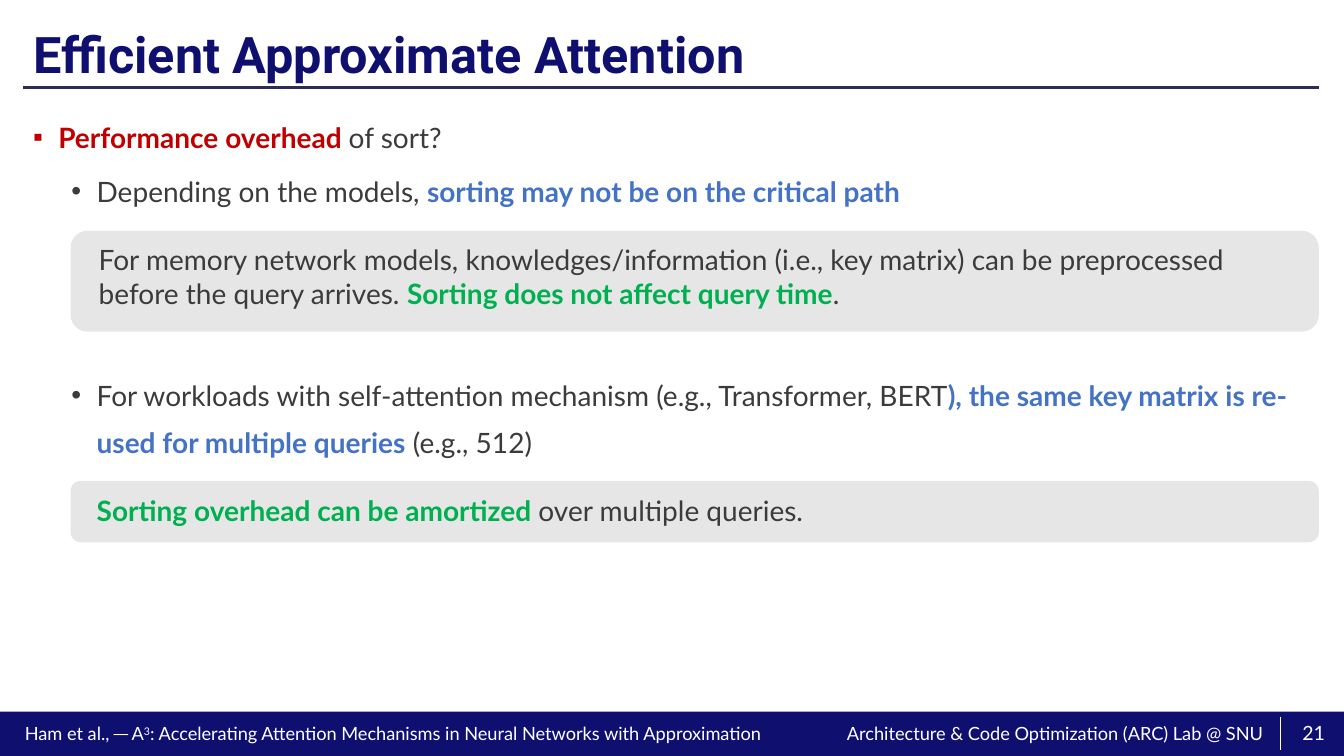
from lxml.etree import SubElement
from pptx import Presentation
from pptx.dml.color import RGBColor
from pptx.enum.shapes import MSO_CONNECTOR, MSO_SHAPE
from pptx.enum.text import MSO_ANCHOR, PP_ALIGN
from pptx.oxml.ns import qn
from pptx.util import Inches, Pt

NAVY = RGBColor(0x0F, 0x0F, 0x70)
RULE = RGBColor(0x2C, 0x2C, 0x54)
WHITE = RGBColor(0xFF, 0xFF, 0xFF)
PANEL = RGBColor(0xE7, 0xE6, 0xE6)
BODY = RGBColor(0x3B, 0x3B, 0x3B)
RED = RGBColor(0xC0, 0x00, 0x00)
BLUE = RGBColor(0x44, 0x72, 0xC4)
GREEN = RGBColor(0x00, 0xB0, 0x50)

TITLE = "Efficient Approximate Attention"
OVERHEAD = [
    ("▪", 0.25, [("Performance overhead ", RED), ("of sort?", BODY)]),
    ("•", 0.63, [("Depending on the models, ", BODY),
                 ("sorting may not be on the critical path", BLUE)]),
]
REUSE = [
    ("•", 0.63, [("For workloads with self-attention mechanism (e.g., Transformer, BERT", BODY),
                 ("), the same key matrix is re-used for multiple queries", BLUE),
                 (" (e.g., 512)", BODY)]),
]
BULLET_BLOCKS = [(1.01, OVERHEAD), (3.57, REUSE)]
CALLOUTS = [
    (2.29, 1.0, 0.07, [
        ("For memory network models, knowledges/information (i.e., key matrix) "
         "can be preprocessed before the query arrives. ", BODY),
        ("Sorting does not affect query time", GREEN), (".", BODY)]),
    (4.77, 0.61, 0.1, [
        ("Sorting overhead can be amortized ", GREEN), ("over multiple queries.", BODY)]),
]
PAPER = [("Ham et al., ─ A", WHITE), ("3", WHITE),
         (": Accelerating Attention Mechanisms in Neural Networks with Approximation", WHITE)]
LAB = [("Architecture & Code Optimization (ARC) Lab @ SNU", WHITE)]
PAGE = [("21", WHITE)]

WIDTH, HEIGHT = 13.33, 7.5
MARGIN = 0.23
RIGHT = 13.08
CALLOUT_LEFT = 0.7
FOOTER_TOP = 7.06
FOOTER_TEXT_TOP = 7.17
DIVIDER = 12.7

deck = Presentation()
deck.slide_width, deck.slide_height = Inches(WIDTH), Inches(HEIGHT)
slide = deck.slides.add_slide(deck.slide_layouts[6])


def add_panel(preset, left, top, width, height, color):
    panel = slide.shapes.add_shape(
        preset, Inches(left), Inches(top), Inches(width), Inches(height))
    panel.shadow.inherit = False
    panel.fill.solid()
    panel.fill.fore_color.rgb = color
    panel.line.fill.background()
    return panel


def add_line(start, end, color, weight):
    line = slide.shapes.add_connector(
        MSO_CONNECTOR.STRAIGHT, *(Inches(value) for value in start + end))
    line.line.color.rgb = color
    line.line.width = Pt(weight)
    SubElement(line.element.spPr, qn("a:effectLst"))


def add_frame(left, top, width, height, inset=True):
    frame = slide.shapes.add_textbox(
        Inches(left), Inches(top), Inches(width), Inches(height)).text_frame
    frame.word_wrap = True
    if not inset:
        frame.margin_left = frame.margin_right = frame.margin_top = frame.margin_bottom = 0
    return frame


def write(paragraph, pieces, size, font="Lato", bold_colors=(RED, BLUE, GREEN)):
    for words, color in pieces:
        run = paragraph.add_run()
        run.text = words
        run.font.name = font
        run.font.size = Pt(size)
        run.font.bold = color in bold_colors
        run.font.color.rgb = color


def add_bullet(paragraph, mark, indent):
    properties = paragraph._p.get_or_add_pPr()
    properties.set("marL", str(Inches(indent)))
    properties.set("indent", str(Inches(-0.25)))
    SubElement(properties, qn("a:buFont"), typeface="Arial")
    SubElement(properties, qn("a:buChar"), char=mark)


add_panel(MSO_SHAPE.RECTANGLE, 0, FOOTER_TOP, WIDTH, HEIGHT - FOOTER_TOP, NAVY)
add_line((MARGIN, 0.87), (RIGHT, 0.87), RULE, 2)
add_line((DIVIDER, 7.11), (DIVIDER, 7.44), WHITE, 0.5)

heading = add_frame(MARGIN, 0.18, RIGHT - MARGIN, 0.77)
heading.vertical_anchor = MSO_ANCHOR.MIDDLE
heading.paragraphs[0].line_spacing = 0.9
write(heading.paragraphs[0], [(TITLE, NAVY)], 36, "Roboto", (NAVY,))

for top, height, inset, pieces in CALLOUTS:
    callout = add_panel(MSO_SHAPE.ROUNDED_RECTANGLE, CALLOUT_LEFT, top,
                        RIGHT - CALLOUT_LEFT, height, PANEL).text_frame
    callout.word_wrap = True
    callout.vertical_anchor = MSO_ANCHOR.TOP
    callout.margin_left, callout.margin_right = Inches(0.23), Inches(0.5)
    callout.margin_top, callout.margin_bottom = Inches(inset), 0
    callout.paragraphs[0].alignment = PP_ALIGN.LEFT
    write(callout.paragraphs[0], pieces, 20)

for top, points in BULLET_BLOCKS:
    block = add_frame(MARGIN, top, RIGHT - MARGIN, 1.21)
    for order, (mark, indent, pieces) in enumerate(points):
        point = block.add_paragraph() if order else block.paragraphs[0]
        add_bullet(point, mark, indent)
        point.line_spacing = 1.4
        point.space_before = Pt(5 if order else 0)
        write(point, pieces, 20)

paper = add_frame(0.07, FOOTER_TEXT_TOP, 7.65, 0.22, inset=False).paragraphs[0]
paper.alignment = PP_ALIGN.CENTER
write(paper, PAPER, 13)
paper.runs[1].font._element.set("baseline", "30000")

lab = add_frame(8.4, FOOTER_TEXT_TOP, 4.32, 0.22, inset=False).paragraphs[0]
write(lab, LAB, 13)

page = add_frame(12.79, 7.07, 0.48, 0.4, inset=False)
page.vertical_anchor = MSO_ANCHOR.MIDDLE
page.paragraphs[0].alignment = PP_ALIGN.CENTER
write(page.paragraphs[0], PAGE, 14)

deck.save("out.pptx")
